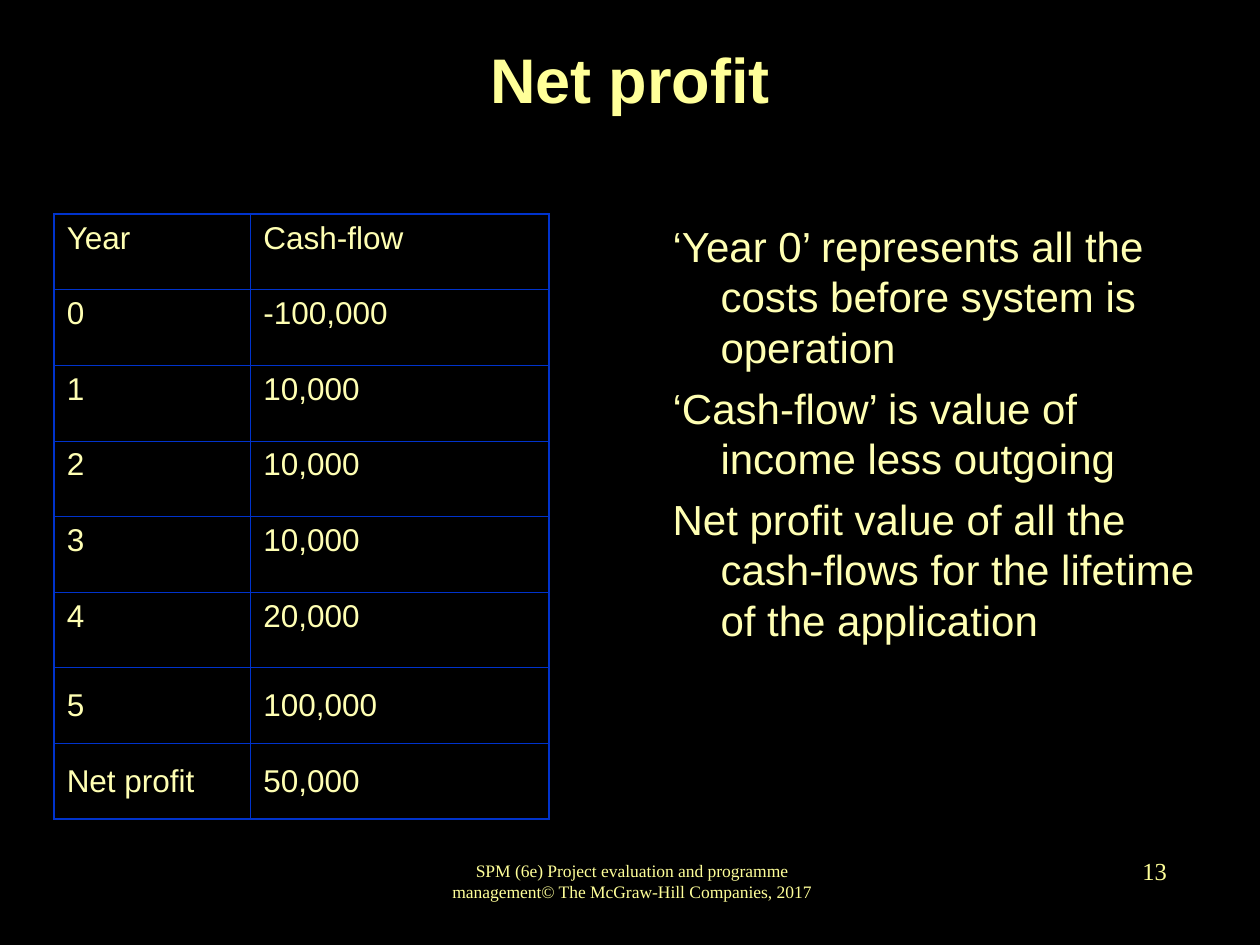
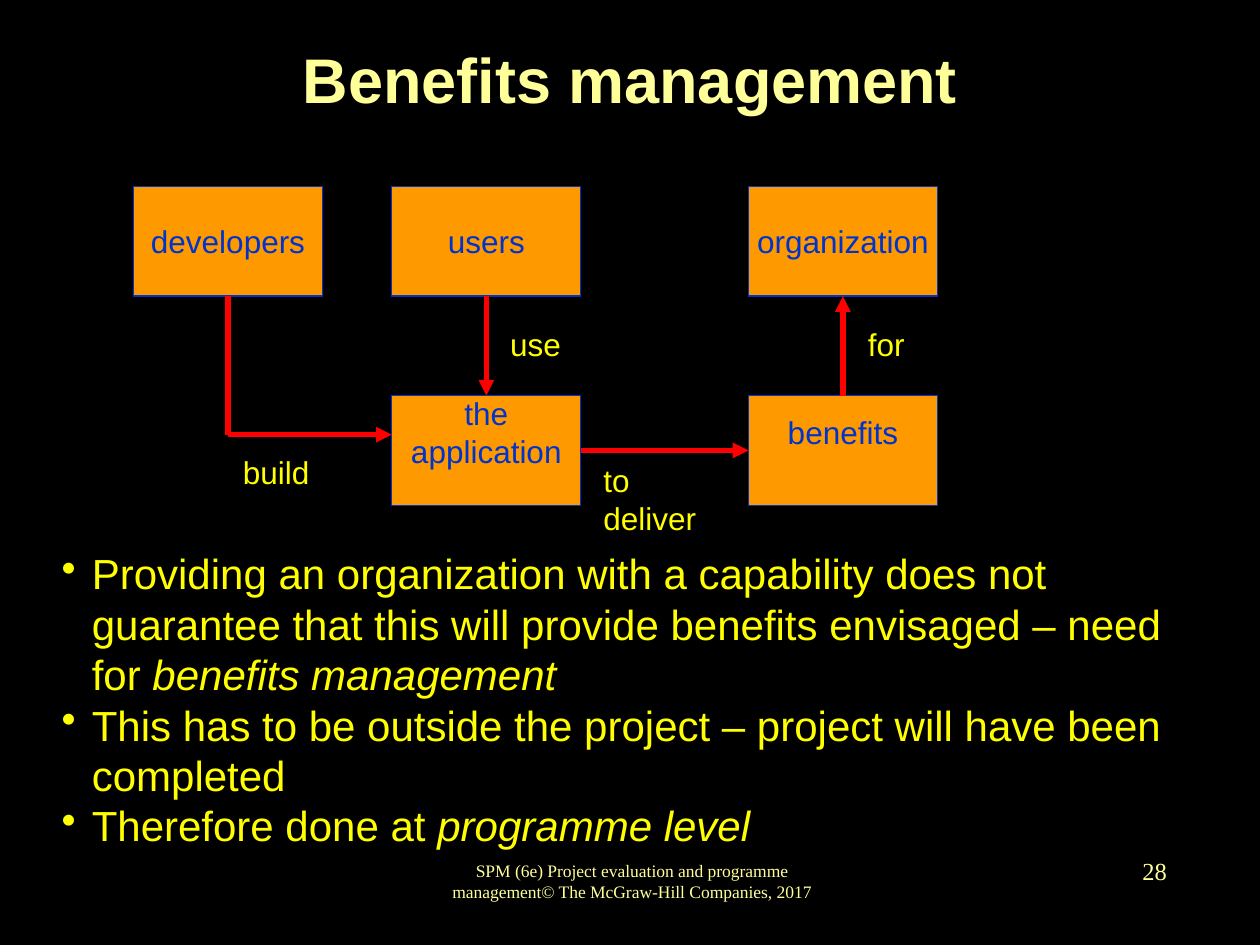
from lxml.etree import SubElement
from pptx import Presentation
from pptx.dml.color import RGBColor
from pptx.enum.shapes import MSO_CONNECTOR as Connector, MSO_SHAPE as Shape
from pptx.enum.text import MSO_ANCHOR as Anchor, PP_ALIGN as Align
from pptx.oxml.ns import qn
from pptx.util import Inches, Pt

BLACK = RGBColor(0x00, 0x00, 0x00)
PALE = RGBColor(0xFF, 0xFF, 0x99)
CREAM = RGBColor(0xFF, 0xFF, 0xB3)
YELLOW = RGBColor(0xFF, 0xFF, 0x00)
ORANGE = RGBColor(0xFF, 0x99, 0x00)
BLUE = RGBColor(0x00, 0x33, 0xCC)
RED = RGBColor(0xFF, 0x00, 0x00)
SANS, SERIF = "Arial", "Times New Roman"

FOOTER = "SPM (6e) Project evaluation and programme management© The McGraw-Hill Companies, 2017"

CASH_FLOWS = [
    ("Year", "Cash-flow"),
    ("0", "-100,000"),
    ("1", "10,000"),
    ("2", "10,000"),
    ("3", "10,000"),
    ("4", "20,000"),
    ("5", "100,000"),
    ("Net profit", "50,000"),
]
CENTRED_FROM = 6
YEAR_WIDTH, FLOW_WIDTH, ROW_HEIGHT = 1.56, 2.37, 0.6
EXPLANATIONS = [
    "‘Year 0’ represents all the costs before system is operation",
    "‘Cash-flow’ is value of income less outgoing",
    "Net profit value of all the cash-flows for the lifetime of the application",
]

COLUMN_LEFTS, ROW_TOPS = (1.06, 3.11, 5.94), (1.48, 3.14)
BOX_WIDTH, BOX_HEIGHT = 1.5, 0.87
BOXES = {
    "developers": (0, 0),
    "users": (1, 0),
    "organization": (2, 0),
    "the application": (1, 1),
    "benefits": (2, 1),
}
TOP, RIGHT, BOTTOM, LEFT = 0, 3, 2, 1
LINKS = [
    ("users", BOTTOM, "the application", TOP),
    ("the application", RIGHT, "benefits", LEFT),
    ("benefits", TOP, "organization", BOTTOM),
]
BUILD_Y = 3.45
LINK_LABELS = [
    ("build", 1.83, 3.55, 0.73, 0.4),
    ("use", 3.95, 2.53, 0.6, 0.4),
    ("to deliver", 4.69, 3.61, 1.2, 0.7),
    ("for", 6.79, 2.53, 0.49, 0.4),
]
LESSONS = [
    ("Providing an organization with a capability does not guarantee that this "
     "will provide benefits envisaged – need for ", "benefits management"),
    ("This has to be outside the project – project will have been completed", ""),
    ("Therefore done at ", "programme level"),
]


def style(paragraph, size, color, name=SANS, align=Align.LEFT, bold=False):
    paragraph.alignment = align
    font = paragraph.font
    font.size, font.name, font.bold = Pt(size), name, bold
    font.color.rgb = color


def indent(paragraph, hanging, bullet=None):
    properties = paragraph._p.get_or_add_pPr()
    properties.set("marL", str(Inches(hanging)))
    properties.set("indent", str(-Inches(hanging)))
    if bullet:
        SubElement(properties, qn("a:buChar")).set("char", bullet)


def add_text(slide, text, place, size, color, wrap=False, anchor=Anchor.TOP, **look):
    frame = slide.shapes.add_textbox(*map(Inches, place)).text_frame
    frame.word_wrap, frame.vertical_anchor = wrap, anchor
    frame.text = text
    for paragraph in frame.paragraphs:
        style(paragraph, size, color, **look)
    return frame


def add_slide(prs, heading, number):
    slide = prs.slides.add_slide(prs.slide_layouts[5])
    title = slide.shapes.title
    title.left, title.top, title.width, title.height = map(Inches, (0.75, 0, 8.5, 1.25))
    title.text_frame.text = heading
    title.text_frame.vertical_anchor = Anchor.MIDDLE
    style(title.text_frame.paragraphs[0], 36, PALE, align=Align.CENTER, bold=True)
    add_text(slide, FOOTER, (3.43, 6.74, 3.17, 0.5), 10, PALE,
             anchor=Anchor.MIDDLE, name=SERIF, align=Align.CENTER)
    add_text(slide, str(number), (7.28, 6.66, 2.08, 0.5), 14, PALE,
             anchor=Anchor.MIDDLE, name=SERIF, align=Align.RIGHT)
    return slide


def set_borders(cell, widths):
    properties = cell._tc.get_or_add_tcPr()
    for position, (side, width) in enumerate(widths.items()):
        line = properties.makeelement(qn(f"a:{side}"), {"w": str(Pt(width))})
        fill = SubElement(line, qn("a:solidFill"))
        SubElement(fill, qn("a:srgbClr")).set("val", str(BLUE))
        properties.insert(position, line)


def add_cash_flow_table(slide):
    rows, columns = len(CASH_FLOWS), len(CASH_FLOWS[0])
    table = slide.shapes.add_table(
        rows, columns, Inches(0.43), Inches(1.7),
        Inches(YEAR_WIDTH + FLOW_WIDTH), Inches(rows * ROW_HEIGHT)).table
    table.first_row = table.horz_banding = False
    for column, width in zip(table.columns, (YEAR_WIDTH, FLOW_WIDTH)):
        column.width = Inches(width)
    for r, values in enumerate(CASH_FLOWS):
        for c, value in enumerate(values):
            cell = table.cell(r, c)
            cell.text = value
            cell.vertical_anchor = Anchor.MIDDLE if r >= CENTRED_FROM else Anchor.TOP
            cell.fill.background()
            style(cell.text_frame.paragraphs[0], 18, CREAM)
            outer = {"lnL": c == 0, "lnR": c == columns - 1,
                     "lnT": r == 0, "lnB": r == rows - 1}
            set_borders(cell, {side: 1.08 if edge else 0.45 for side, edge in outer.items()})


def add_box(slide, label, column, row):
    box = slide.shapes.add_shape(
        Shape.RECTANGLE, Inches(COLUMN_LEFTS[column]), Inches(ROW_TOPS[row]),
        Inches(BOX_WIDTH), Inches(BOX_HEIGHT))
    box.shadow.inherit = False
    box.fill.solid()
    box.fill.fore_color.rgb = ORANGE
    box.line.color.rgb, box.line.width = BLUE, Pt(0.75)
    frame = box.text_frame
    frame.word_wrap, frame.vertical_anchor = row == 1, Anchor.MIDDLE
    if row == 1:
        frame.margin_top, frame.margin_bottom = 0, Inches(0.29)
    frame.text = label
    style(frame.paragraphs[0], 18, BLUE, align=Align.CENTER)
    return box


def add_line(slide, start=(0, 0), end=(0, 0), arrow=True):
    line = slide.shapes.add_connector(Connector.STRAIGHT, *map(Inches, start + end))
    line.line.color.rgb, line.line.width = RED, Pt(3)
    if arrow:
        SubElement(line.line._get_or_add_ln(), qn("a:tailEnd")).set("type", "triangle")
    SubElement(line._element.spPr, qn("a:effectLst"))
    return line


def build_net_profit(prs):
    slide = add_slide(prs, "Net profit", 13)
    frame = add_text(slide, "\n".join(EXPLANATIONS), (5.24, 1.7, 4.42, 4.95), 24, CREAM, wrap=True)
    for position, paragraph in enumerate(frame.paragraphs):
        indent(paragraph, 0.38)
        paragraph.space_before = Pt(6 if position else 0)
    add_cash_flow_table(slide)


def build_benefits(prs):
    slide = add_slide(prs, "Benefits management", 28)
    boxes = {label: add_box(slide, label, *cell) for label, cell in BOXES.items()}
    for source, source_side, target, target_side in LINKS:
        link = add_line(slide)
        link.begin_connect(boxes[source], source_side)
        link.end_connect(boxes[target], target_side)

    corner = (COLUMN_LEFTS[0] + BOX_WIDTH / 2, BUILD_Y)
    stem = add_line(slide, (corner[0], ROW_TOPS[0] + BOX_HEIGHT), corner, arrow=False)
    stem.begin_connect(boxes["developers"], BOTTOM)
    add_line(slide, corner, (COLUMN_LEFTS[1], BUILD_Y))

    for label, *place in LINK_LABELS:
        add_text(slide, label, place, 18, YELLOW, wrap=" " in label)

    frame = add_text(slide, "\n".join(plain for plain, _ in LESSONS),
                     (0.39, 4.3, 9.22, 2.9), 24, YELLOW, wrap=True)
    for paragraph, (_, emphasis) in zip(frame.paragraphs, LESSONS):
        indent(paragraph, 0.24, "•")
        if emphasis:
            run = paragraph.add_run()
            run.text, run.font.italic = emphasis, True


def main():
    prs = Presentation()
    prs.slide_width, prs.slide_height = Inches(10), Inches(7.5)
    background = prs.slide_master.background.fill
    background.solid()
    background.fore_color.rgb = BLACK
    build_net_profit(prs)
    build_benefits(prs)
    prs.save("out.pptx")


if __name__ == "__main__":
    main()
